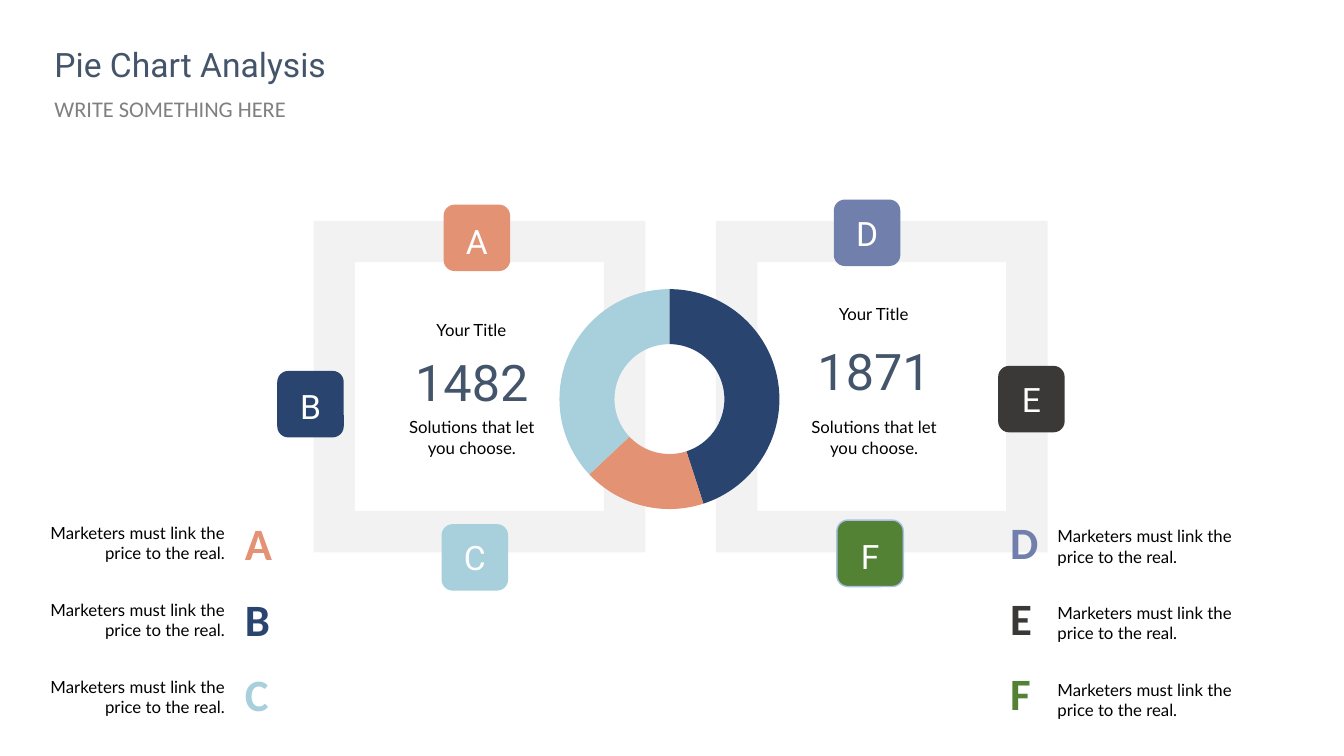
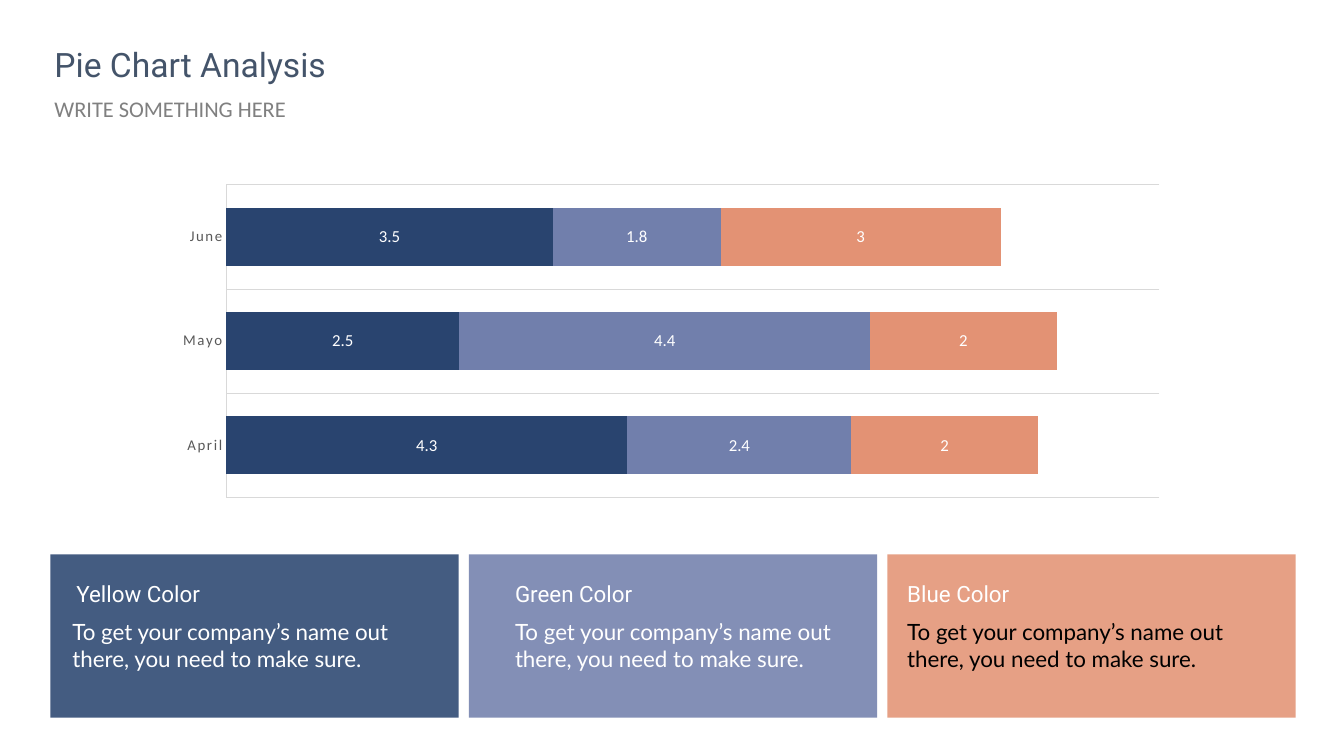
import pptx
import pptx.chart.data
import pptx.dml.color
import pptx.enum.chart
import pptx.enum.shapes
import pptx.enum.text
import pptx.oxml
import pptx.oxml.ns
import pptx.util

Inches = pptx.util.Inches
Pt = pptx.util.Pt
qn = pptx.oxml.ns.qn
ALIGN = pptx.enum.text.PP_ALIGN
SHAPES = pptx.enum.shapes.MSO_SHAPE

NAVY, CORAL, SKY, PERIWINKLE = "29446F", "E39274", "A7CFDC", "717FAC"
CHARCOAL, GREEN = "3B3838", "548235"
SLATE, GREY, PALE, RULE = "44546A", "808080", "F2F2F2", "D9D9D9"
WHITE, BLACK = "FFFFFF", "000000"
LETTER_COLORS = {"A": CORAL, "B": NAVY, "C": SKY,
                 "D": PERIWINKLE, "E": CHARCOAL, "F": GREEN}

FRAME_SIDE = 3.29
BADGE_SIDE = 0.66
LEGEND_TEXT = "Marketers must link the price to the real."
CARD_TEXT = "To get your company’s name out there, you need to make sure."


def rgb(hex_color):
    return pptx.dml.color.RGBColor.from_string(hex_color)


def apply(target, values):
    for attribute, value in values.items():
        setattr(target, attribute, value)


def style_font(font, name, size, color, bold=False):
    apply(font, {"name": name, "size": Pt(size), "bold": bold})
    font.color.rgb = rgb(color)


def fill_text(frame, words, name, size, color, align=ALIGN.LEFT, bold=False,
              anchor=pptx.enum.text.MSO_ANCHOR.TOP):
    apply(frame, {"word_wrap": True, "vertical_anchor": anchor,
                  "auto_size": pptx.enum.text.MSO_AUTO_SIZE.NONE})
    paragraph = frame.paragraphs[0]
    apply(paragraph, {"alignment": align, "space_before": Pt(0)})
    run = paragraph.add_run()
    run.text = words
    style_font(run.font, name, size, color, bold)
    return paragraph


def add_label(slide, left, top, width, height, *text, **options):
    label = slide.shapes.add_textbox(
        Inches(left), Inches(top), Inches(width), Inches(height))
    fill_text(label.text_frame, *text, **options)


def add_block(slide, preset, left, top, width, height, color):
    block = slide.shapes.add_shape(
        preset, Inches(left), Inches(top), Inches(width), Inches(height))
    block.shadow.inherit = False
    block.fill.solid()
    block.fill.fore_color.rgb = rgb(color)
    block.line.fill.background()
    return block


def add_headed_slide(deck):
    slide = deck.slides.add_slide(deck.slide_layouts[1])
    heading, tagline = slide.shapes.title, slide.placeholders[1]
    apply(heading, {"left": Inches(0.44), "top": Inches(0.39),
                    "width": Inches(3.24), "height": Inches(0.5)})
    apply(tagline, {"left": Inches(0.44), "top": Inches(0.89),
                    "width": Inches(2.92), "height": Inches(0.37)})
    fill_text(heading.text_frame, "Pie Chart Analysis", "Roboto", 24, SLATE)
    paragraph = fill_text(tagline.text_frame, "WRITE SOMETHING HERE",
                          "Calibri", 16, GREY)
    properties = paragraph._p.get_or_add_pPr()
    properties.set("marL", "0")
    properties.set("indent", "0")
    properties.append(pptx.oxml.parse_xml(
        f"<a:buNone {pptx.oxml.ns.nsdecls('a')}/>"))
    return slide


def add_chart(slide, kind, left, top, width, height, months, series, inner):
    figures = pptx.chart.data.CategoryChartData()
    figures.categories = months
    for number, values in enumerate(series, 1):
        figures.add_series(f"Series {number}", values)
    chart = slide.shapes.add_chart(
        kind, Inches(left), Inches(top), Inches(width), Inches(height),
        figures).chart
    apply(chart, {"has_legend": False, "has_title": False})
    area = chart._chartSpace.find(".//" + qn("c:plotArea"))
    for automatic in area.findall(qn("c:layout")):
        area.remove(automatic)
    modes = "".join(f'<c:{edge}Mode val="edge"/>' for edge in "xy")
    bounds = "".join(f'<c:{key} val="{value}"/>'
                     for key, value in zip("xywh", inner))
    area.insert(0, pptx.oxml.parse_xml(
        f"<c:layout {pptx.oxml.ns.nsdecls('c')}><c:manualLayout>"
        f'<c:layoutTarget val="inner"/>{modes}{bounds}'
        "</c:manualLayout></c:layout>"))
    return chart


def add_share_ring(slide, left, top, side):
    ring = add_chart(slide, pptx.enum.chart.XL_CHART_TYPE.DOUGHNUT,
                     left, top, side, side, ["1", "2", "3"], [(45, 18, 37)],
                     (0.06, 0.06, 0.88, 0.88))
    style_font(ring.font, "Lato", 20, BLACK)
    plot = ring.plots[0]
    apply(plot, {"vary_by_categories": True, "has_data_labels": False})
    ring._chartSpace.find(".//" + qn("c:holeSize")).set("val", "30")
    for index, color in enumerate((NAVY, CORAL, SKY)):
        slice_format = plot.series[0].points[index].format
        slice_format.fill.solid()
        slice_format.fill.fore_color.rgb = rgb(color)
        slice_format.line.fill.background()


def add_metric_panel(slide, left, top, metric, title_offset, metric_offset):
    add_block(slide, SHAPES.FRAME, left, top, FRAME_SIDE, FRAME_SIDE, PALE)
    add_label(slide, left + 1.04, top + title_offset, 1.05, 0.3,
              "Your Title", "Lato", 12, BLACK, align=ALIGN.CENTER)
    add_label(slide, left + 0.8, top + metric_offset, 1.54, 0.71,
              metric, "Roboto", 36, SLATE, align=ALIGN.CENTER)
    add_label(slide, left + 0.73, top + 1.9, 1.68, 0.5,
              "Solutions that let you choose.", "Lato", 12, BLACK,
              align=ALIGN.CENTER)


def add_badge(slide, letter, left, top, drop):
    badge = add_block(slide, SHAPES.ROUNDED_RECTANGLE, left, top,
                      BADGE_SIDE, BADGE_SIDE, LETTER_COLORS[letter])
    apply(badge.text_frame, {"margin_left": 0, "margin_right": 0,
                             "margin_top": Inches(2 * drop),
                             "margin_bottom": 0})
    fill_text(badge.text_frame, letter, "Roboto", 24, WHITE,
              align=ALIGN.CENTER, anchor=pptx.enum.text.MSO_ANCHOR.MIDDLE)
    return badge


def add_legend(slide, letters, letter_left, text_left, top, text_drop, align):
    for row, letter in enumerate(letters):
        add_label(slide, letter_left, top + row * 0.75, 0.5, 0.64, letter,
                  "Calibri", 32, LETTER_COLORS[letter], bold=True)
        add_label(slide, text_left, top + text_drop + row * 0.76, 2.06, 0.5,
                  LEGEND_TEXT, "Lato", 12, BLACK, align=align)


def build_ring_slide(deck):
    slide = add_headed_slide(deck)
    add_metric_panel(slide, 3.11, 2.19, "1482", 0.93, 1.24)
    add_metric_panel(slide, 7.1, 2.19, "1871", 0.77, 1.13)
    badges = {letter: add_badge(slide, letter, *place) for letter, place in {
        "A": (4.4, 2.03, 0.03), "B": (2.75, 3.68, 0.02),
        "C": (4.38, 5.2, 0), "D": (8.27, 1.98, 0),
        "E": (9.9, 3.63, 0), "F": (8.3, 5.16, 0.03)}.items()}
    badges["F"].line.color.rgb = rgb("ABC0E4")
    badges["F"].line.width = Pt(1)
    add_share_ring(slide, 5.4, 2.72, 2.48)
    add_legend(slide, "ABC", 2.33, 0.27, 5.07, 0.07, ALIGN.RIGHT)
    add_legend(slide, "DEF", 9.92, 10.39, 5.06, 0.11, ALIGN.LEFT)


def add_month_bars(slide, left, top, width, height):
    bars = add_chart(slide, pptx.enum.chart.XL_CHART_TYPE.BAR_STACKED,
                     left, top, width, height, ["April", "Mayo", "June"],
                     [(4.3, 2.5, 3.5), (2.4, 4.4, 1.8), (2, 2, 3)],
                     (0.06, 0.02, 0.92, 0.96))
    style_font(bars.font, "Calibri", 10, BLACK)
    plot = bars.plots[0]
    apply(plot, {"gap_width": 79, "overlap": 100,
                 "vary_by_categories": False, "has_data_labels": True})
    apply(plot.data_labels, {
        "show_value": True,
        "position": pptx.enum.chart.XL_LABEL_POSITION.CENTER})
    style_font(plot.data_labels.font, "Calibri", 12, WHITE)
    for series, color in zip(plot.series, (NAVY, PERIWINKLE, CORAL)):
        series.format.fill.solid()
        series.format.fill.fore_color.rgb = rgb(color)
    apply(bars.value_axis, {"visible": False, "has_major_gridlines": False,
                            "minimum_scale": 0, "maximum_scale": 10})
    months = bars.category_axis
    apply(months, {"has_major_gridlines": True,
                   "major_tick_mark": pptx.enum.chart.XL_TICK_MARK.NONE})
    style_font(months.tick_labels.font, "Calibri", 10.6, "595959")
    months._element.find(".//" + qn("a:defRPr")).set("spc", "120")
    for line in (months.format.line, months.major_gridlines.format.line):
        line.color.rgb = rgb(RULE)
        line.width = Pt(0.75)


def add_card(slide, left, top, title, color, text_color, title_inset,
             text_inset):
    card = add_block(slide, SHAPES.RECTANGLE, left, top, 4.05, 1.62, color)
    card._element.spPr.find(".//" + qn("a:srgbClr")).append(
        pptx.oxml.parse_xml(
            f'<a:alpha {pptx.oxml.ns.nsdecls("a")} val="87000"/>'))
    add_label(slide, left + title_inset, top + 0.21, 3.73, 0.37,
              title, "Roboto", 16, WHITE)
    add_label(slide, left + text_inset, top + 0.58, 3.73, 0.64,
              CARD_TEXT, "Lato", 16, text_color)


def build_bar_slide(deck):
    slide = add_headed_slide(deck)
    add_month_bars(slide, 1.64, 1.77, 10.06, 3.23)
    for column, card in enumerate((
            ("Yellow Color", NAVY, WHITE, 0.16, 0.12),
            ("Green Color", PERIWINKLE, WHITE, 0.36, 0.36),
            ("Blue Color", CORAL, BLACK, 0.1, 0.1))):
        add_card(slide, 0.5 + column * 4.15, 5.5, *card)


def main():
    deck = pptx.Presentation()
    apply(deck, {"slide_width": Inches(13.33), "slide_height": Inches(7.5)})
    build_ring_slide(deck)
    build_bar_slide(deck)
    deck.save("out.pptx")


if __name__ == "__main__":
    main()
